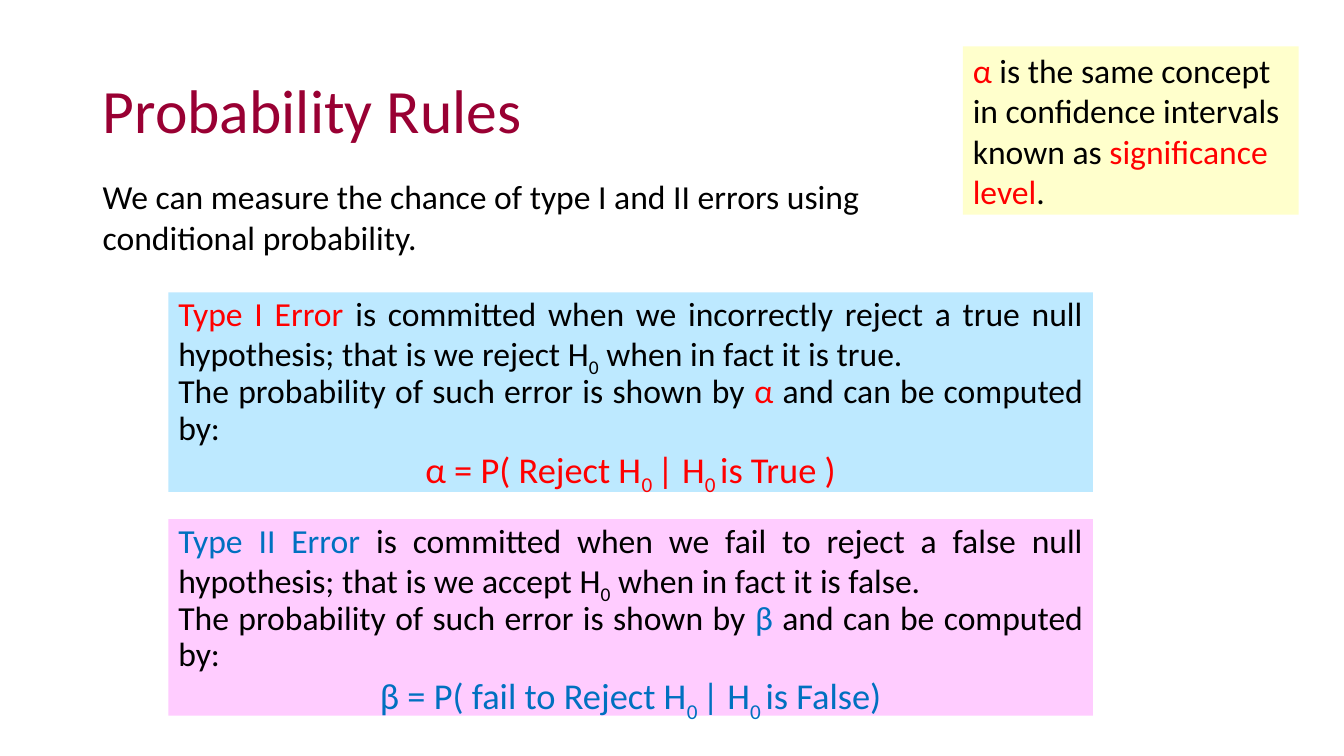
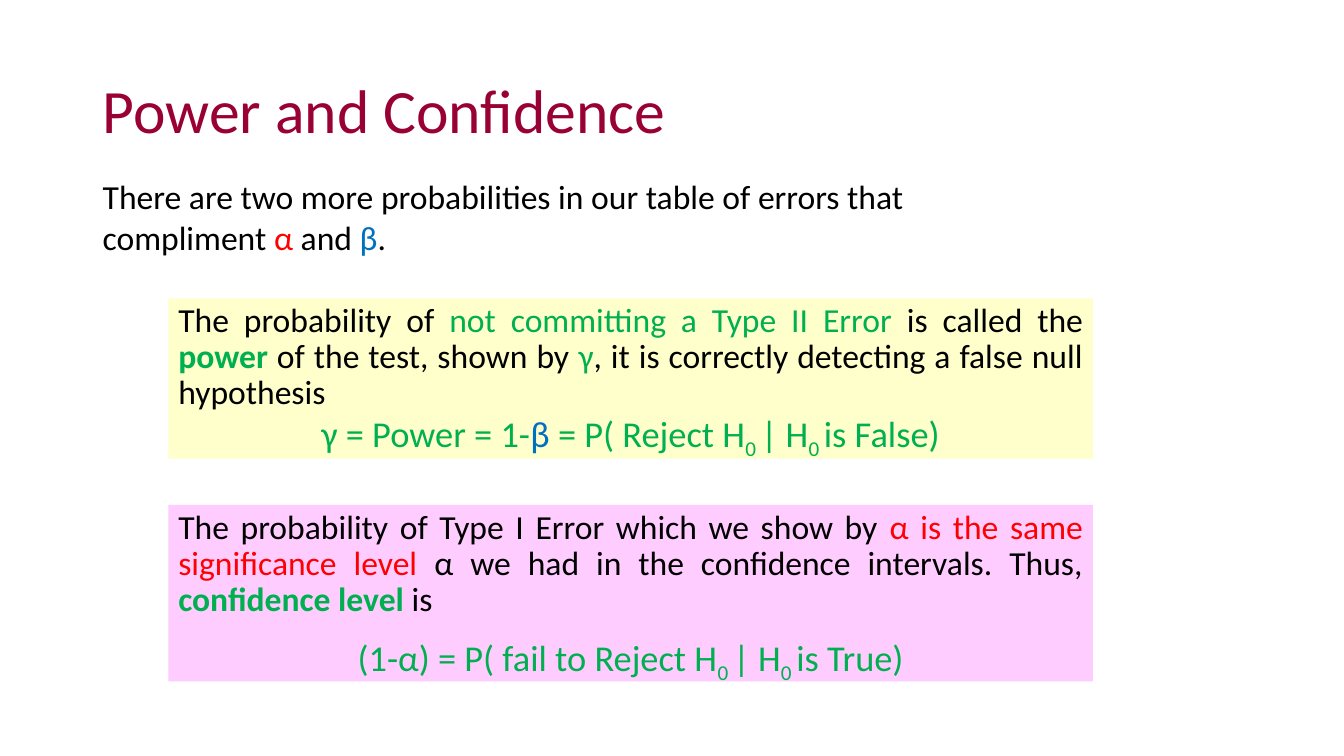
from pptx import Presentation
from pptx.dml.color import RGBColor
from pptx.enum.shapes import MSO_SHAPE
from pptx.enum.text import MSO_ANCHOR, MSO_AUTO_SIZE, PP_ALIGN
from pptx.util import Emu, Pt

FONT = "Calibri"
BLACK = RGBColor(0x00, 0x00, 0x00)
CRIMSON = RGBColor(0x99, 0x00, 0x33)
RED = RGBColor(0xFF, 0x00, 0x00)
BLUE = RGBColor(0x00, 0x70, 0xC0)
GREEN = RGBColor(0x00, 0xB0, 0x50)
SKY = RGBColor(0xBD, 0xE9, 0xFF)
PINK = RGBColor(0xFF, 0xCC, 0xFF)
CREAM = RGBColor(0xFF, 0xFF, 0xCC)

CARD_LEFT, CARD_WIDTH = 167, 917
TITLE_ONLY_LAYOUT = 5


def px(length):
    """Turn px, a hundred to the inch, into EMU."""
    return Emu(length * 9144)


def place(shape, left, top, width, height):
    """Set the position and size of a shape in px."""
    shape.left, shape.top = px(left), px(top)
    shape.width, shape.height = px(width), px(height)


def add_text(paragraph, text, color=BLACK, bold=False, size=24):
    """Append formatted text, with the parts in braces as subscripts."""
    for index, part in enumerate(text.replace("}", "{").split("{")):
        if not part:
            continue
        run = paragraph.add_run()
        run.text = part
        run.font.name = FONT
        run.font.size = Pt(size)
        run.font.bold = bold
        run.font.color.rgb = color
        if index % 2:
            run._r.get_or_add_rPr().set("baseline", "-25000")


def fill_paragraph(paragraph, pieces, size=24, align=PP_ALIGN.LEFT, spacing=1.0, before=0):
    """Write (text, color, bold) pieces into one paragraph."""
    paragraph.alignment = align
    paragraph.line_spacing = spacing
    if before:
        paragraph.space_before = Pt(before)
    for text, *style in pieces:
        add_text(paragraph, text, *style, size=size)


def add_title(slide, text):
    """Fill the title placeholder."""
    title = slide.shapes.title
    place(title, 92, 40, 1150, 145)
    frame = title.text_frame
    frame.auto_size = MSO_AUTO_SIZE.NONE
    frame.vertical_anchor = MSO_ANCHOR.MIDDLE
    fill_paragraph(frame.paragraphs[0], [(text, CRIMSON)], size=44, spacing=0.9)


def add_intro(slide, pieces):
    """Add the opening sentence below the title."""
    box = slide.shapes.add_textbox(px(92), px(170), px(815), px(92))
    box.text_frame.word_wrap = True
    fill_paragraph(box.text_frame.paragraphs[0], pieces)


def add_panel(slide, left, top, width, height, color, anchor):
    """Add a plain filled rectangle and return its text frame."""
    panel = slide.shapes.add_shape(
        MSO_SHAPE.RECTANGLE, px(left), px(top), px(width), px(height))
    panel.shadow.inherit = False
    panel.fill.solid()
    panel.fill.fore_color.rgb = color
    panel.line.fill.background()
    frame = panel.text_frame
    frame.word_wrap = True
    frame.vertical_anchor = anchor
    return frame


def add_card(slide, top, height, color, body, formula, gap=0):
    """Add a card of justified paragraphs closed by a centred formula."""
    frame = add_panel(slide, CARD_LEFT, top, CARD_WIDTH, height, color, MSO_ANCHOR.TOP)
    for index, pieces in enumerate(body):
        paragraph = frame.add_paragraph() if index else frame.paragraphs[0]
        fill_paragraph(paragraph, pieces, align=PP_ALIGN.JUSTIFY, spacing=0.9)
    fill_paragraph(frame.add_paragraph(), formula, size=26,
                   align=PP_ALIGN.CENTER, spacing=0.9, before=gap)


def add_error_card(slide, top, height, fill, accent, name, definition, symbol, event):
    """Add the card that defines one type of error and its probability."""
    body = [
        [(f"{name} ", accent), (f"is committed when we {definition}",)],
        [("The probability of such error is shown by ",), (symbol, accent),
         (" and can be computed by:",)],
    ]
    add_card(slide, top, height, fill, body, [(f"{symbol} = {event}", accent)])


def add_slide(presentation, title, intro):
    """Add a slide with its title and opening sentence."""
    slide = presentation.slides.add_slide(presentation.slide_layouts[TITLE_ONLY_LAYOUT])
    add_title(slide, title)
    add_intro(slide, intro)
    return slide


def build_probability_rules(presentation):
    """Build the slide on the two types of error."""
    slide = add_slide(presentation, "Probability Rules", [
        ("We can measure the chance of type I and II errors using "
         "conditional probability.",)])
    add_error_card(
        slide, 290, 198, SKY, RED, "Type I Error",
        "incorrectly reject a true null hypothesis; "
        "that is we reject H{0} when in fact it is true.",
        "α", "P( Reject H{0 }| H{0 }is True )")
    add_error_card(
        slide, 515, 195, PINK, BLUE, "Type II Error",
        "fail to reject a false null hypothesis; "
        "that is we accept H{0} when in fact it is false.",
        "β", "P( fail to Reject H{0 }| H{0 }is False)")
    note = add_panel(slide, 955, 46, 333, 167, CREAM, MSO_ANCHOR.MIDDLE)
    fill_paragraph(note.paragraphs[0], [
        ("α", RED), (" is the same concept in confidence intervals known as ",),
        ("significance level", RED), (".",)])


def build_power_and_confidence(presentation):
    """Build the slide on power and confidence level."""
    slide = add_slide(presentation, "Power and Confidence", [
        ("There are two more probabilities in our table of errors that compliment ",),
        ("α", RED), (" and ",), ("β", BLUE), (".",)])
    power = [
        ("The probability of ",), ("not committing a Type II Error ", GREEN),
        ("is called the ",), ("power", GREEN, True),
        (" of the test, shown by ",), ("γ", GREEN),
        (", it is correctly detecting a false null hypothesis",)]
    add_card(slide, 296, 159, CREAM, [power], [
        ("γ = Power = 1-", GREEN), ("β", BLUE),
        (" = P( Reject H{0 }| H{0 }is False)", GREEN)])
    confidence = [
        ("The probability of Type I Error which we show by ",),
        ("α is the same significance level ", RED),
        ("α we had in the confidence intervals. Thus, ",),
        ("confidence level ", GREEN, True), ("is",)]
    add_card(slide, 501, 175, PINK, [confidence], [
        ("(1-α) = P( fail to Reject H{0 }| H{0 }is True)", GREEN)], gap=12)


def main():
    """Build and save the presentation."""
    presentation = Presentation()
    presentation.slide_width, presentation.slide_height = px(1333), px(750)
    build_probability_rules(presentation)
    build_power_and_confidence(presentation)
    presentation.save("out.pptx")


if __name__ == "__main__":
    main()
